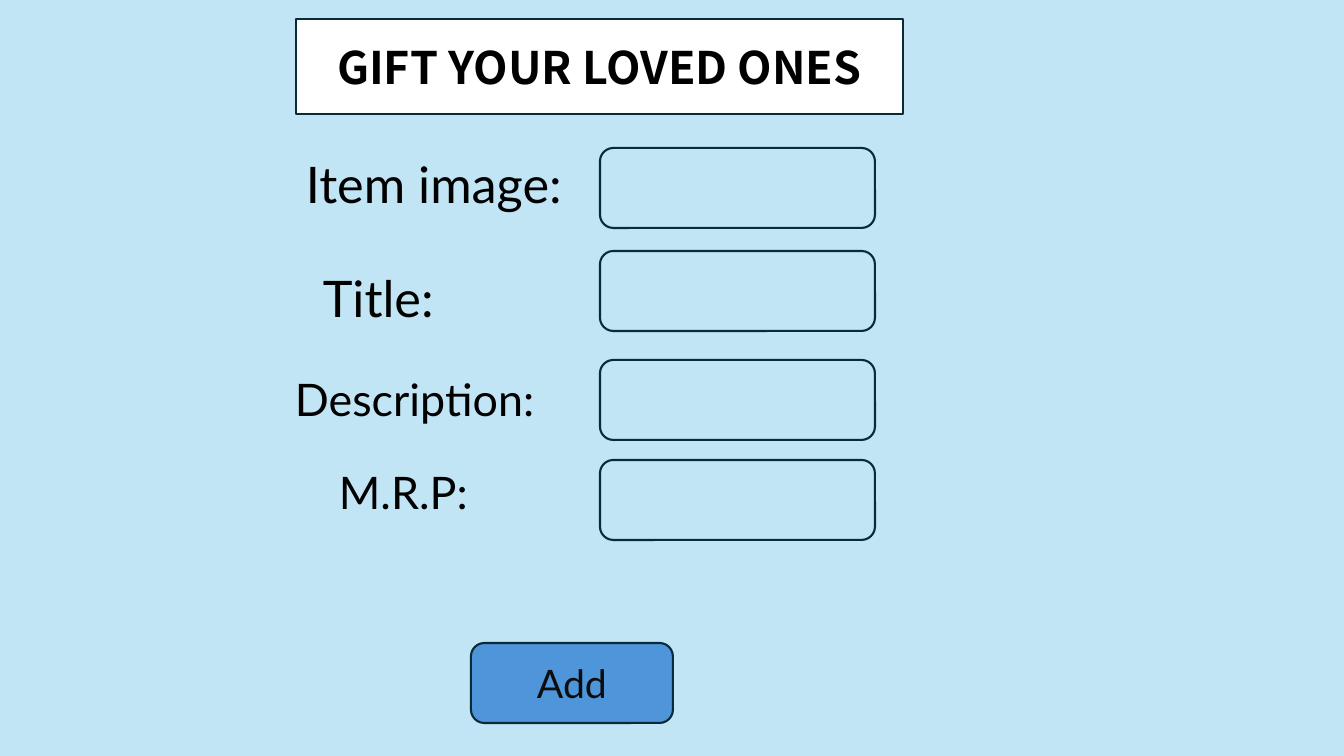
from dataclasses import dataclass

from lxml.etree import SubElement
from pptx import Presentation
from pptx.dml.color import RGBColor
from pptx.enum.shapes import MSO_SHAPE as Preset
from pptx.enum.text import MSO_ANCHOR as Anchor, MSO_AUTO_SIZE as AutoSize, PP_ALIGN as Align
from pptx.oxml.ns import qn
from pptx.util import Emu, Pt

PAGE_WIDTH, PAGE_HEIGHT = 1344, 756
EMU_PER_PX = 12192000 / PAGE_WIDTH


@dataclass(frozen=True)
class Theme:
    background: str = "C1E5F5"
    outline: str = "092A39"
    panel: str = "FFFFFF"
    button: str = "4E95D9"
    ink: str = "000000"
    button_ink: str = "0D0D0D"
    title_font: str = "Noto Sans CJK KR"
    body_font: str = "Lato"
    large: int = 36
    medium: int = 32
    small: int = 28
    outline_width: float = 1.5


@dataclass(frozen=True)
class Box:
    left: int
    top: int
    width: int
    height: int


@dataclass(frozen=True)
class FormRow:
    label: str
    label_box: Box
    size: int
    field_top: int


THEME = Theme()
FIELD_LEFT, FIELD_WIDTH, FIELD_HEIGHT = 600, 275, 80
TITLE_BOX = Box(296, 19, 607, 95)
BUTTON_BOX = Box(471, 643, 202, 80)
ROWS = [
    FormRow("Item image:", Box(296, 148, 356, 72), THEME.large, 148),
    FormRow("Title:", Box(313, 262, 262, 72), THEME.large, 251),
    FormRow("Description:", Box(285, 367, 275, 65), THEME.medium, 360),
    FormRow("M.R.P:", Box(329, 460, 213, 65), THEME.medium, 460),
]


def px(length: int) -> Emu:
    return Emu(round(length * EMU_PER_PX))


def place(box: Box) -> list[Emu]:
    return [px(side) for side in (box.left, box.top, box.width, box.height)]


def write(shape, text: str, size: int, font: str = THEME.body_font,
          color: str = THEME.ink, bold: bool = False) -> None:
    frame = shape.text_frame
    frame.word_wrap = True
    para = frame.paragraphs[0]
    span = para.add_run()
    span.text = text
    for name, value in {"name": font, "size": Pt(size), "bold": bold}.items():
        setattr(span.font, name, value)
    span.font.color.rgb = RGBColor.from_string(color)


def center(shape) -> None:
    shape.text_frame.vertical_anchor = Anchor.MIDDLE
    shape.text_frame.paragraphs[0].alignment = Align.CENTER


def paint(shape, fill: str | None = None) -> None:
    if fill:
        shape.fill.solid()
        shape.fill.fore_color.rgb = RGBColor.from_string(fill)
    else:
        shape.fill.background()
    shape.line.color.rgb = RGBColor.from_string(THEME.outline)
    shape.line.width = Pt(THEME.outline_width)


def add_rounded(page, box: Box, fill: str | None = None):
    shape = page.shapes.add_shape(Preset.ROUNDED_RECTANGLE, *place(box))
    shape.shadow.inherit = False
    paint(shape, fill)
    return shape


def add_title(page) -> None:
    title = page.shapes.title
    for name, value in zip(("left", "top", "width", "height"), place(TITLE_BOX)):
        setattr(title, name, value)
    # A placeholder has no preset outline until one is given
    outline = SubElement(title.element.spPr, qn("a:prstGeom"), prst="roundRect")
    SubElement(outline, qn("a:avLst"))
    paint(title, THEME.panel)
    write(title, "GIFT YOUR LOVED ONES", THEME.medium, THEME.title_font, bold=True)
    title.text_frame.auto_size = AutoSize.NONE
    center(title)


def add_row(page, row: FormRow) -> None:
    add_rounded(page, Box(FIELD_LEFT, row.field_top, FIELD_WIDTH, FIELD_HEIGHT))
    label = page.shapes.add_textbox(*place(row.label_box))
    write(label, row.label, row.size)
    label.text_frame.auto_size = AutoSize.SHAPE_TO_FIT_TEXT


def add_button(page) -> None:
    button = add_rounded(page, BUTTON_BOX, THEME.button)
    write(button, "Add", THEME.small, color=THEME.button_ink)
    center(button)


def main() -> None:
    deck = Presentation()
    deck.slide_width, deck.slide_height = px(PAGE_WIDTH), px(PAGE_HEIGHT)
    page = deck.slides.add_slide(deck.slide_layouts.get_by_name("Title Only"))
    page.background.fill.solid()
    page.background.fill.fore_color.rgb = RGBColor.from_string(THEME.background)

    # Heading, form rows, then the button
    add_title(page)
    for row in ROWS:
        add_row(page, row)
    add_button(page)
    deck.save("out.pptx")


if __name__ == "__main__":
    main()
